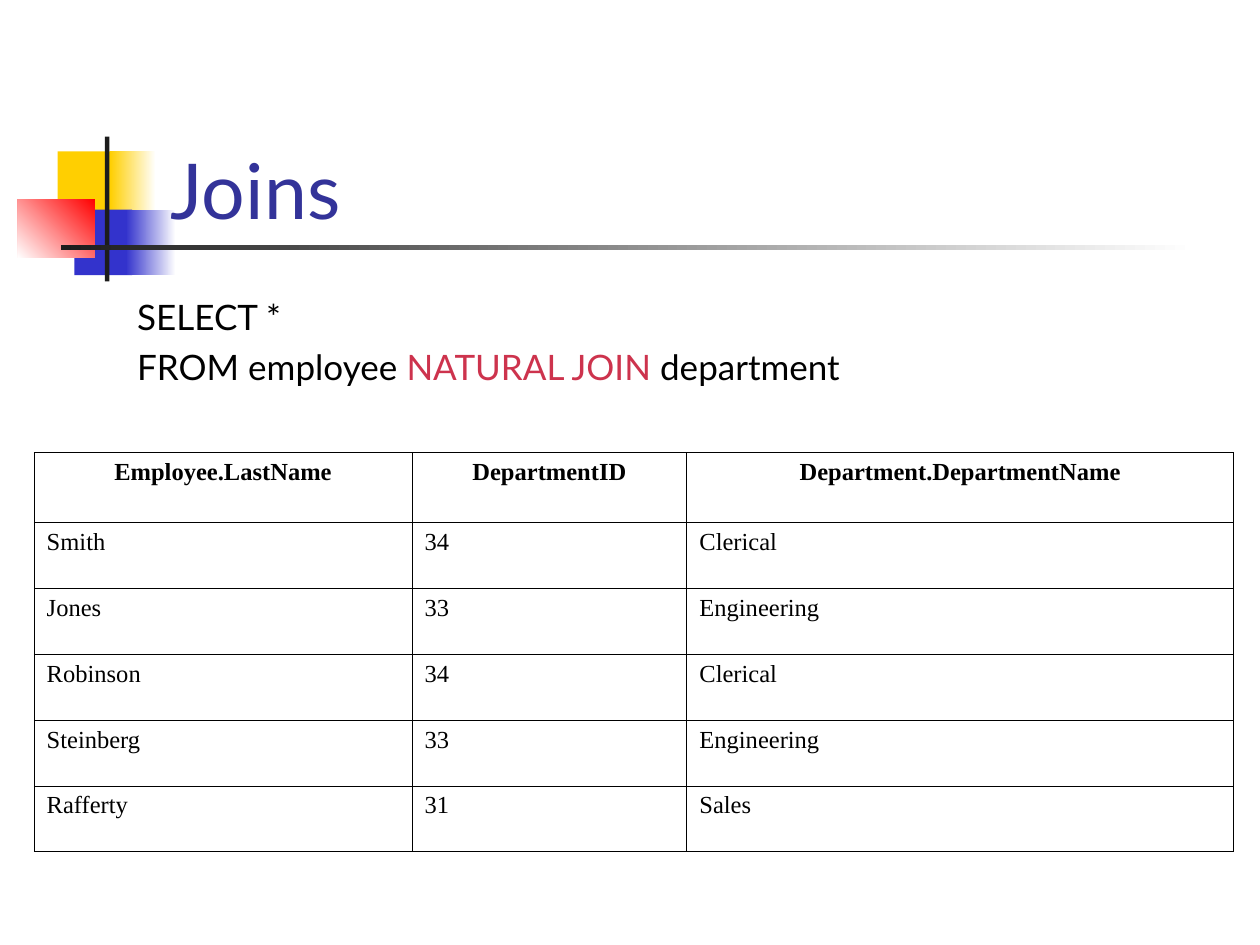
import lxml.etree
import pptx
import pptx.dml.color
import pptx.enum.shapes
import pptx.enum.text
import pptx.oxml.ns
import pptx.util

Pt = pptx.util.Pt
qn = pptx.oxml.ns.qn
ANCHOR = pptx.enum.text.MSO_ANCHOR
ALIGN = pptx.enum.text.PP_ALIGN


def color(hex_string):
    return pptx.dml.color.RGBColor.from_string(hex_string)


def add_text(paragraph, text, font="Lato", size=20, fill="000000", bold=False):
    run = paragraph.add_run()
    run.text = text
    run.font.name = font
    run.font.size = Pt(size)
    run.font.bold = bold
    run.font.color.rgb = color(fill)


presentation = pptx.Presentation()
presentation.slide_width = Pt(720)
presentation.slide_height = Pt(540)
slide = presentation.slides.add_slide(presentation.slide_layouts[6])

# Decorative blocks and rules: left, top, width, height, colors, gradient angle
decorations = [
    (33, 86.5, 34.5, 37.5, ["FFCF01"], None),
    (63, 86.5, 26, 37.5, ["FFFFFF", "FFCF01"], 180),
    (42.5, 119.75, 33, 37.5, ["3333CC"], None),
    (72, 119.75, 28.5, 37.5, ["FFFFFF", "3333CC"], 180),
    (10, 113.75, 44.25, 33.5, ["FF0000", "FFFFFF"], 225),
    (60, 78, 2.5, 82.75, ["1C1C1C"], None),
    (34.75, 140.25, 648, 2.5, ["FFFFFF", "1C1C1C"], 180),
]
for left, top, width, height, colors, angle in decorations:
    shape = slide.shapes.add_shape(
        pptx.enum.shapes.MSO_SHAPE.RECTANGLE, Pt(left), Pt(top), Pt(width), Pt(height))
    shape.shadow.inherit = False
    shape.line.fill.background()
    if angle is None:
        shape.fill.solid()
        shape.fill.fore_color.rgb = color(colors[0])
    else:
        shape.fill.gradient()
        shape.fill.gradient_angle = angle
        for stop, stop_color in zip(shape.fill.gradient_stops, colors):
            stop.color.rgb = color(stop_color)

# Title
title = slide.shapes.add_textbox(Pt(90.5), Pt(48), Pt(613.5), Pt(90)).text_frame
title.word_wrap = True
title.vertical_anchor = ANCHOR.BOTTOM
add_text(title.paragraphs[0], "Joins", size=44, fill="333399")

# SQL query
query = slide.shapes.add_textbox(Pt(71.25), Pt(165), Pt(435.5), Pt(60.5)).text_frame
query.word_wrap = True
query.vertical_anchor = ANCHOR.MIDDLE
add_text(query.paragraphs[0], "SELECT *")
from_clause = query.add_paragraph()
from_clause.space_before = Pt(4.5)
add_text(from_clause, "FROM employee ")
add_text(from_clause, "NATURAL JOIN", fill="CD334D")
add_text(from_clause, " department")

# Join result table
rows = [
    ("Employee.LastName", "DepartmentID", "Department.DepartmentName"),
    ("Smith", "34", "Clerical"),
    ("Jones", "33", "Engineering"),
    ("Robinson", "34", "Clerical"),
    ("Steinberg", "33", "Engineering"),
    ("Rafferty", "31", "Sales"),
]
column_widths = [216, 157, 312.5]
row_heights = [40] + [37.65] * 5
table = slide.shapes.add_table(
    len(rows), len(column_widths), Pt(19.5), Pt(258.5),
    Pt(sum(column_widths)), Pt(sum(row_heights))).table
for column, width in zip(table.columns, column_widths):
    column.width = Pt(width)
for row, height in zip(table.rows, row_heights):
    row.height = Pt(height)

for row_index, values in enumerate(rows):
    is_header = row_index == 0
    for column_index, value in enumerate(values):
        cell = table.cell(row_index, column_index)
        paragraph = cell.text_frame.paragraphs[0]
        paragraph.alignment = ALIGN.CENTER if is_header else ALIGN.LEFT
        add_text(paragraph, value, font="Times New Roman", size=14, bold=is_header)

        # Thin black border on every side, placed ahead of the cell fill
        properties = cell._tc.get_or_add_tcPr()
        for side in ("a:lnL", "a:lnR", "a:lnT", "a:lnB"):
            border = lxml.etree.SubElement(properties, qn(side), w=str(Pt(0.45)))
            border_fill = lxml.etree.SubElement(border, qn("a:solidFill"))
            lxml.etree.SubElement(border_fill, qn("a:srgbClr"), val="000000")
        cell.fill.background()

presentation.save("out.pptx")
